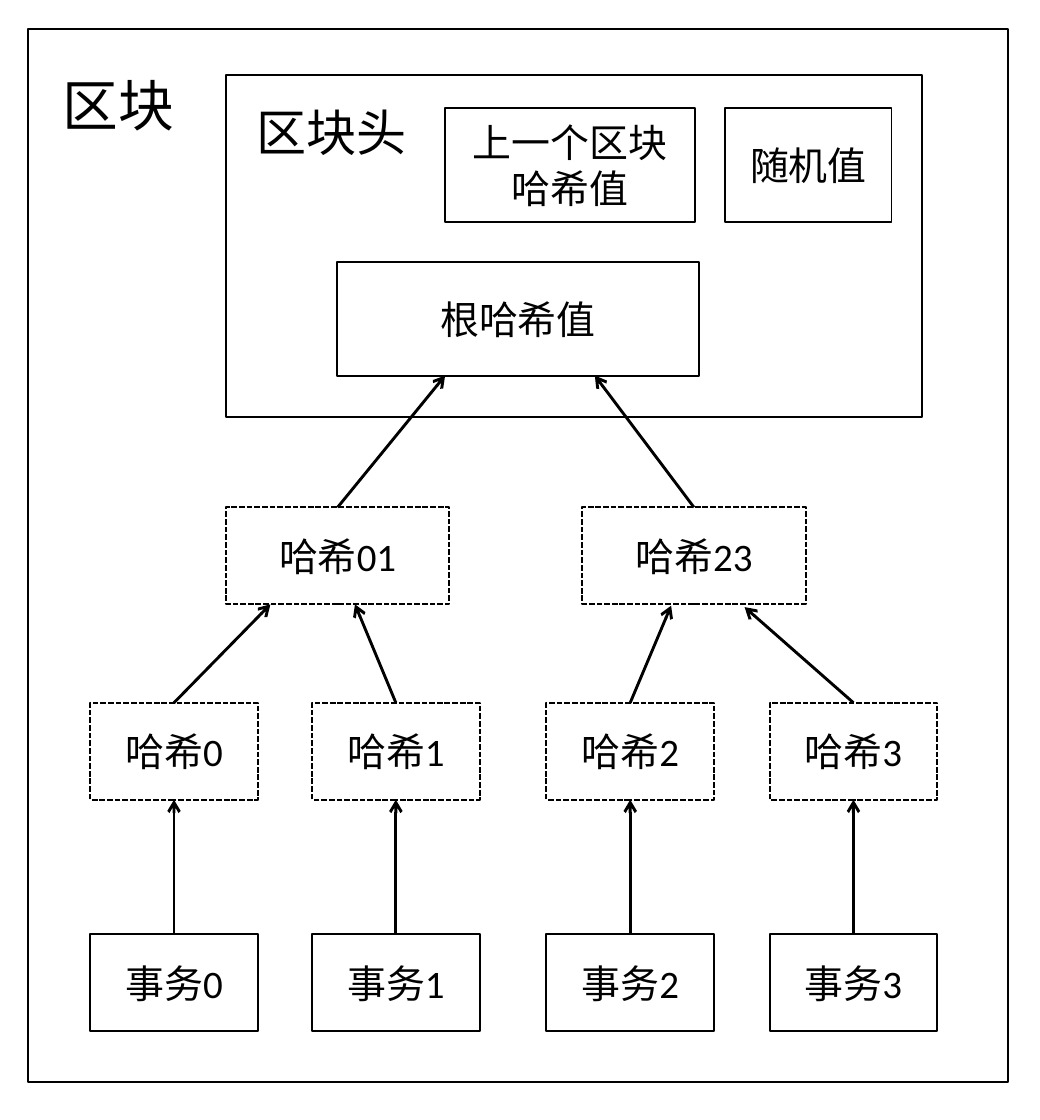
import pptx
import pptx.util
import pptx.dml.color
import pptx.enum.dml
import pptx.enum.shapes
import pptx.enum.text
import pptx.oxml

Inches = pptx.util.Inches
Pt = pptx.util.Pt
COLORS = {"ink": "000000", "paper": "FFFFFF"}
FONT = "Calibri"


def color(name):
    return pptx.dml.color.RGBColor.from_string(COLORS[name])


def add_box(slide, x, y, w, h, text, size=20.2, dash=False):
    box = slide.shapes.add_shape(
        pptx.enum.shapes.MSO_SHAPE.RECTANGLE,
        Inches(x), Inches(y), Inches(w), Inches(h))
    box.shadow.inherit = False
    box.fill.solid()
    box.fill.fore_color.rgb = color("paper")
    box.line.color.rgb = color("ink")
    box.line.width = Pt(1)
    if dash:
        box.line.dash_style = pptx.enum.dml.MSO_LINE.SQUARE_DOT
    frame = box.text_frame
    frame.word_wrap = True
    frame.vertical_anchor = pptx.enum.text.MSO_ANCHOR.MIDDLE
    frame.text = text
    line = frame.paragraphs[0]
    line.alignment = pptx.enum.text.PP_ALIGN.CENTER
    font = line.runs[0].font
    font.name = FONT
    font.size = Pt(size)
    font.color.rgb = color("ink")
    return box


def add_panel(slide, x, y, w, h, text, size, left, top):
    panel = add_box(slide, x, y, w, h, text, size)
    frame = panel.text_frame
    frame.vertical_anchor = pptx.enum.text.MSO_ANCHOR.TOP
    frame.margin_left = Inches(left)
    frame.margin_top = Inches(top)
    frame.paragraphs[0].alignment = pptx.enum.text.PP_ALIGN.LEFT


def add_arrow(slide, low, high, tip=None):
    end = tip or (0, 0)
    arrow = slide.shapes.add_connector(
        pptx.enum.shapes.MSO_CONNECTOR.STRAIGHT,
        0, 0, Inches(end[0]), Inches(end[1]))
    arrow.begin_connect(low, 0)
    if tip is None:
        arrow.end_connect(high, 2)
    arrow.line.color.rgb = color("ink")
    arrow.line.width = Pt(1.5)
    space = pptx.oxml.ns.nsdecls("a")
    arrow.line._get_or_add_ln().append(
        pptx.oxml.parse_xml(f'<a:tailEnd {space} type="arrow"/>'))
    arrow._element.spPr.append(
        pptx.oxml.parse_xml(f"<a:effectLst {space}/>"))


def add_header(slide, x, y, w, h):
    add_panel(slide, x, y, w, h, "区块头", 26, 0.22, 0.19)
    add_box(slide, x + 1.58, y + 0.24, 1.8, 0.82, "上一个区块哈希值")
    add_box(slide, x + 3.6, y + 0.24, 1.2, 0.82, "随机值")
    return add_box(slide, x + 0.8, y + 1.35, 2.61, 0.82, "根哈希值")


def add_tree(slide, x, y, root):
    nodes = []
    pairs = [("哈希01", 0.98, (3.21, 2.71)), ("哈希23", 3.55, (4.29, 2.71))]
    for text, dx, tip in pairs:
        node = add_box(slide, x + dx, y, 1.61, 0.7, text, dash=True)
        add_arrow(slide, node, root, tip)
        nodes.append(node)
    leaves = [(0, (1.95, 4.36)), (1.6, (2.56, 4.36)),
              (3.29, (4.84, 4.37)), (4.9, (5.37, 4.38))]
    for i, (dx, tip) in enumerate(leaves):
        leaf = add_box(slide, x + dx, y + 1.41, 1.21, 0.7, f"哈希{i}", dash=True)
        deal = add_box(slide, x + dx, y + 3.08, 1.21, 0.7, f"事务{i}")
        add_arrow(slide, leaf, nodes[i // 2], tip)
        add_arrow(slide, deal, leaf)


def add_block(slide, x, y, w, h):
    add_panel(slide, x, y, w, h, "区块", 28.9, 0.25, 0.3)
    root = add_header(slide, x + 1.43, y + 0.33, 5.02, 2.47)
    add_tree(slide, x + 0.45, y + 3.45, root)


def main():
    deck = pptx.Presentation()
    deck.slide_width = Inches(7.5)
    deck.slide_height = Inches(8.08)
    slide = deck.slides.add_slide(deck.slide_layouts[6])
    add_block(slide, 0.2, 0.21, 7.07, 7.6)
    deck.save("out.pptx")


if __name__ == "__main__":
    main()
